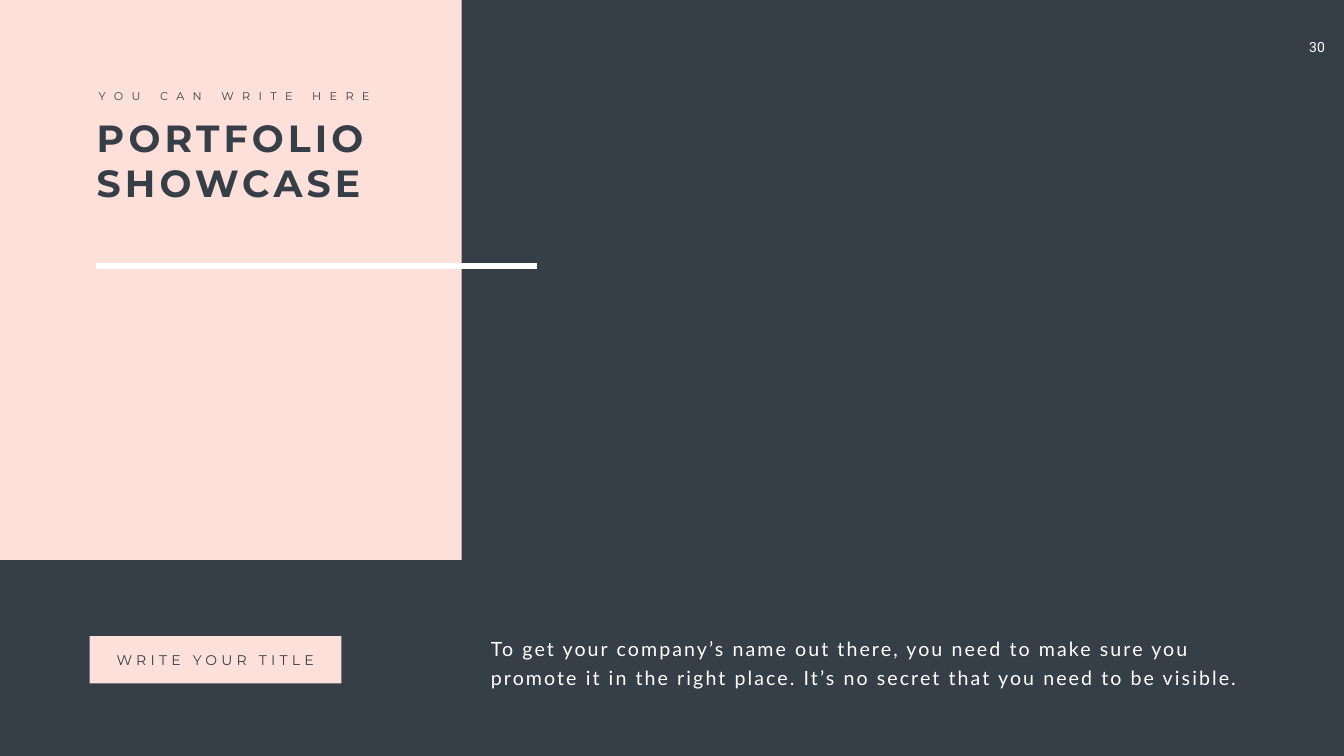
"""Build the portfolio showcase slide."""
import dataclasses

import pptx
import pptx.dml.color
import pptx.enum.shapes
import pptx.enum.text
import pptx.oxml.ns
import pptx.util
from lxml import etree

Inches = pptx.util.Inches
Pt = pptx.util.Pt
Color = pptx.dml.color.RGBColor.from_string
Align = pptx.enum.text.PP_ALIGN


@dataclasses.dataclass(frozen=True)
class Theme:
    dark: str = "363E48"
    blush: str = "FEE0DA"
    white: str = "FFFFFF"
    heading: str = "Montserrat"
    body: str = "Lato"
    number: str = "Roboto"
    title_size: int = 54
    body_size: int = 28
    label_size: int = 20
    kicker_size: int = 16


THEME = Theme()


def apply_format(target, values):
    for name, value in values.items():
        setattr(target, name, value)


def add_text(shapes, place, text, font, size, color, spacing=0, bold=False,
             frame=None, paragraph=None):
    box = shapes.add_textbox(*map(Inches, place))
    apply_format(box.text_frame, {
        "word_wrap": True,
        "auto_size": pptx.enum.text.MSO_AUTO_SIZE.SHAPE_TO_FIT_TEXT,
        **(frame or {}),
    })
    para = box.text_frame.paragraphs[0]
    apply_format(para, paragraph or {})
    span = para.add_run()
    span.text = text
    apply_format(span.font, {"name": font, "size": Pt(size), "bold": bold})
    span.font.color.rgb = Color(color)
    if spacing:
        span.font._element.set("spc", str(spacing * 100))
    return box


def add_panel(shapes, place, color):
    panel = shapes.add_shape(pptx.enum.shapes.MSO_SHAPE.RECTANGLE, *map(Inches, place))
    panel.shadow.inherit = False
    panel.fill.solid()
    panel.fill.fore_color.rgb = Color(color)
    panel.line.fill.background()
    return panel


def add_rule(shapes, start, end, color, width):
    rule = shapes.add_connector(pptx.enum.shapes.MSO_CONNECTOR.STRAIGHT,
                                *map(Inches, (*start, *end)))
    rule.line.color.rgb = Color(color)
    rule.line.width = Pt(width)
    etree.SubElement(rule._element.spPr, pptx.oxml.ns.qn("a:effectLst"))
    return rule


def add_heading(page):
    shapes = page.shapes.add_group_shape().shapes
    add_text(shapes, (1.82, 2.22, 5.82, 1.92), "PORTFOLIO SHOWCASE",
             THEME.heading, THEME.title_size, THEME.dark, spacing=6, bold=True)
    add_text(shapes, (1.86, 1.72, 5.78, 0.37), "YOU CAN WRITE HERE",
             THEME.heading, THEME.kicker_size, THEME.dark, spacing=12,
             frame={"word_wrap": False})
    add_rule(shapes, (10.65, 5.28), (1.9, 5.28), THEME.white, 8)


def add_button(page):
    shapes = page.shapes.add_group_shape().shapes
    add_panel(shapes, (1.78, 12.62, 4.99, 0.94), THEME.blush)
    add_text(shapes, (2.15, 12.87, 4.24, 0.44), "WRITE YOUR TITLE",
             THEME.heading, THEME.label_size, THEME.dark, spacing=6,
             frame={"word_wrap": False}, paragraph={"alignment": Align.CENTER})


def main():
    deck = pptx.Presentation()
    apply_format(deck, {"slide_width": Inches(26.66), "slide_height": Inches(15)})
    page = deck.slides.add_slide(deck.slide_layouts[6])
    page.background.fill.solid()
    page.background.fill.fore_color.rgb = Color(THEME.dark)

    add_text(page.shapes, (25.69, 0.67, 1.01, 0.54), "30",
             THEME.number, THEME.label_size, THEME.white,
             frame={"margin_left": Inches(0.2), "margin_right": Inches(0.34),
                    "margin_top": Inches(0.1), "margin_bottom": Inches(0.1)},
             paragraph={"alignment": Align.CENTER})
    add_panel(page.shapes, (0, 0, 9.16, 11.11), THEME.blush)
    add_heading(page)
    add_text(page.shapes, (9.64, 12.49, 15.24, 1.19),
             "To get your company’s name out there, you need to make sure you "
             "promote it in the right place. It’s no secret that you need to be visible.",
             THEME.body, THEME.body_size, THEME.white, spacing=3,
             paragraph={"line_spacing": Pt(40.8)})
    add_button(page)
    deck.save("out.pptx")


if __name__ == "__main__":
    main()
